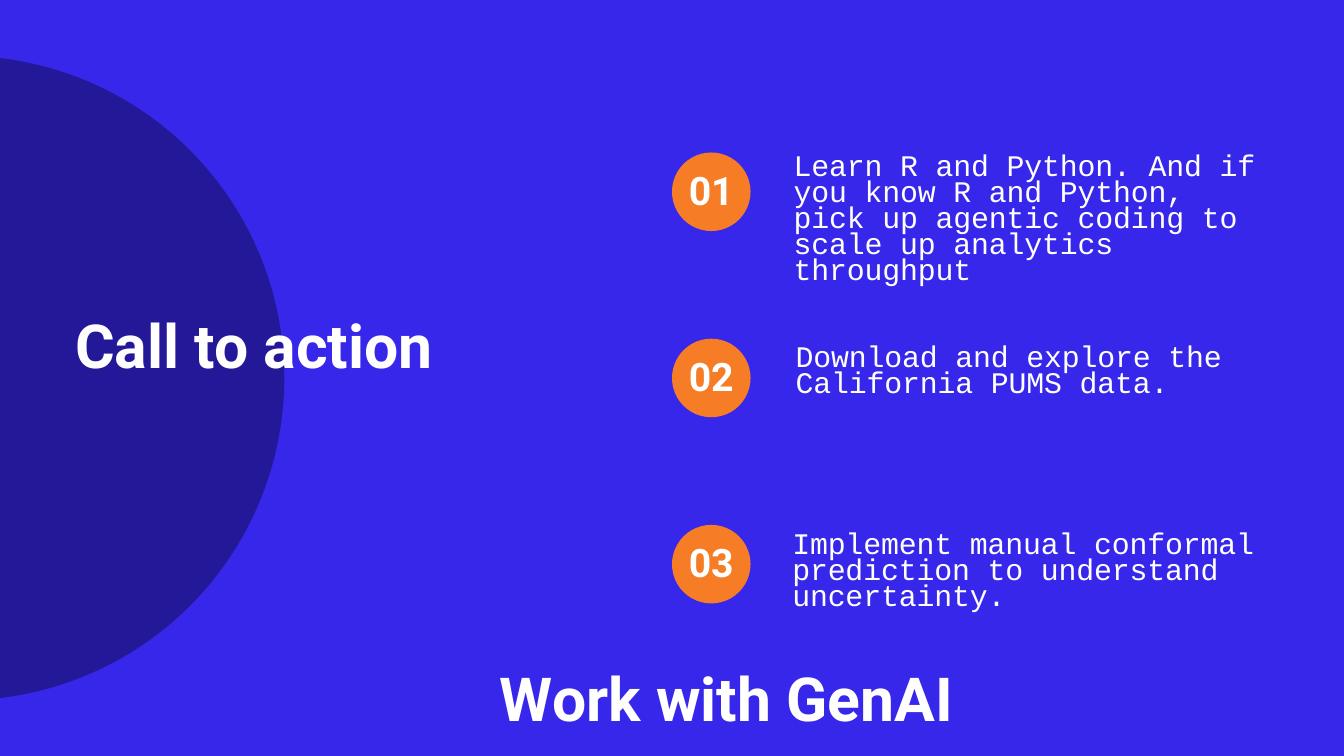
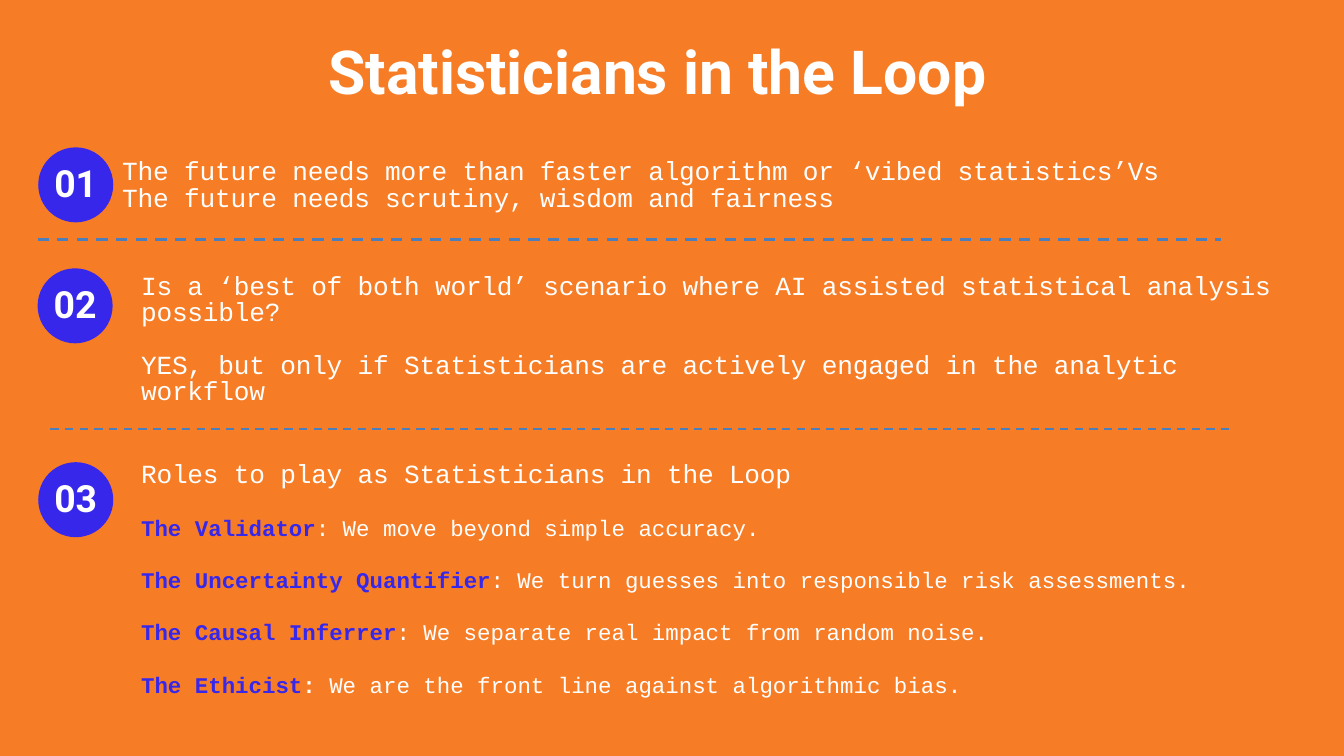
from dataclasses import dataclass

from lxml.etree import SubElement
from pptx import Presentation
from pptx.dml.color import RGBColor
from pptx.enum.dml import MSO_LINE_DASH_STYLE as Dash
from pptx.enum.shapes import MSO_CONNECTOR as Connector, MSO_SHAPE as Shape
from pptx.enum.text import MSO_ANCHOR as Anchor, PP_ALIGN as Align
from pptx.oxml.ns import qn
from pptx.shapes.autoshape import Shape as AutoShape
from pptx.slide import Slide
from pptx.text.text import TextFrame
from pptx.util import Pt

BLUE = RGBColor(0x37, 0x27, 0xEB)
ORANGE = RGBColor(0xF6, 0x7D, 0x26)
WHITE = RGBColor(0xFF, 0xFF, 0xFF)
BLACK = RGBColor(0x00, 0x00, 0x00)
STEEL = RGBColor(0x4B, 0x7E, 0xBC)

HEADING_FONT = "Roboto"
BODY_FONT = "Courier New"
TITLE_SIZE = 65
HEADING_LEADING = 1.1
BODY_LEADING = 28
BODY_TRACKING = -0.2


@dataclass(frozen=True)
class Area:
    left: float
    top: float
    width: float
    height: float


@dataclass(frozen=True)
class Span:
    text: str
    size: float
    font: str = BODY_FONT
    color: RGBColor = WHITE
    bold: bool = False
    tracking: float = 0


@dataclass(frozen=True)
class Paragraph:
    spans: list[Span]
    leading: float = BODY_LEADING
    space_before: float = 0
    align: Align = Align.LEFT


@dataclass(frozen=True)
class Title:
    text: str
    area: Area
    align: Align = Align.LEFT


@dataclass(frozen=True)
class BadgeStyle:
    diameter: float
    text_size: float
    fill: RGBColor


@dataclass(frozen=True)
class Item:
    badge_left: float
    badge_top: float
    area: Area
    paragraphs: list[Paragraph]


@dataclass(frozen=True)
class Divider:
    left: float
    right: float
    top: float
    weight: float


def heading(text: str, size: float, align: Align) -> Paragraph:
    span = Span(text, size, HEADING_FONT, bold=True)
    return Paragraph([span], size * HEADING_LEADING, align=align)


def body(text: str, size: float, space_before: float = 0) -> Paragraph:
    span = Span(text, size, tracking=BODY_TRACKING)
    return Paragraph([span], space_before=space_before)


def role(name: str, duty: str, bold_colon: bool = False) -> Paragraph:
    spans = [
        Span(name, 24, color=BLUE, bold=True),
        Span(": ", 24, bold=bold_colon),
        Span(duty, 24),
    ]
    return Paragraph(spans, space_before=BODY_LEADING)


def write(frame: TextFrame, paragraphs: list[Paragraph]) -> None:
    frame.margin_left = frame.margin_right = Pt(0)
    frame.margin_top = frame.margin_bottom = Pt(0)
    for index, paragraph in enumerate(paragraphs):
        para = frame.add_paragraph() if index else frame.paragraphs[0]
        para.alignment = paragraph.align
        para.line_spacing = Pt(paragraph.leading)
        para.space_before = Pt(paragraph.space_before)
        for span in paragraph.spans:
            run = para.add_run()
            run.text = span.text
            run.font.name = span.font
            run.font.size = Pt(span.size)
            run.font.bold = span.bold
            run.font.color.rgb = span.color
            if span.tracking:
                run.font._element.set("spc", str(round(span.tracking * 100)))


def add_text(page: Slide, area: Area, paragraphs: list[Paragraph]) -> None:
    box = page.shapes.add_textbox(
        Pt(area.left), Pt(area.top), Pt(area.width), Pt(area.height)
    )
    box.text_frame.word_wrap = True
    write(box.text_frame, paragraphs)


def add_title(page: Slide, title: Title) -> None:
    add_text(page, title.area, [heading(title.text, TITLE_SIZE, title.align)])


def add_circle(
    page: Slide, left: float, top: float, diameter: float, color: RGBColor
) -> AutoShape:
    circle = page.shapes.add_shape(
        Shape.OVAL, Pt(left), Pt(top), Pt(diameter), Pt(diameter)
    )
    circle.shadow.inherit = False
    circle.fill.solid()
    circle.fill.fore_color.rgb = color
    circle.line.fill.background()
    return circle


def add_items(page: Slide, items: list[Item], style: BadgeStyle) -> None:
    for number, item in enumerate(items, start=1):
        badge = add_circle(
            page, item.badge_left, item.badge_top, style.diameter, style.fill
        )
        frame = badge.text_frame
        frame.word_wrap = False
        frame.vertical_anchor = Anchor.MIDDLE
        write(frame, [heading(f"{number:02}", style.text_size, Align.CENTER)])
        add_text(page, item.area, item.paragraphs)


def add_divider(page: Slide, divider: Divider) -> None:
    line = page.shapes.add_connector(
        Connector.STRAIGHT,
        Pt(divider.left),
        Pt(divider.top),
        Pt(divider.right),
        Pt(divider.top),
    )
    line.line.color.rgb = STEEL
    line.line.width = Pt(divider.weight)
    line.line.dash_style = Dash.DASH
    SubElement(line._element.spPr, qn("a:effectLst"))


def add_page(deck: Presentation, color: RGBColor) -> Slide:
    page = deck.slides.add_slide(deck.slide_layouts[6])
    page.background.fill.solid()
    page.background.fill.fore_color.rgb = color
    return page


def build_call_to_action(deck: Presentation) -> None:
    page = add_page(deck, BLUE)
    backdrop = add_circle(page, -385.9, 59.8, 690.5, BLACK)
    color = backdrop.fill._xPr.find(f".//{qn('a:srgbClr')}")
    SubElement(color, qn("a:alpha"), val="35000")

    add_title(page, Title("Call to action", Area(80.6, 336.2, 537, 72)))
    add_title(page, Title("Work with GenAI", Area(535.7, 714.2, 537, 72)))

    actions = [
        (
            Area(850.3, 167, 509, 142.6),
            "Learn R and Python. And if you know R and Python, "
            "pick up agentic coding to scale up analytics throughput",
        ),
        (
            Area(852.5, 372.2, 509, 57.6),
            "Download and explore the California PUMS data.",
        ),
        (
            Area(848.9, 572.4, 509, 86.4),
            "Implement manual conformal prediction to understand uncertainty.",
        ),
    ]
    items = [
        Item(720, 163.4 + row * 199.5, area, [body(text, 32)])
        for row, (area, text) in enumerate(actions)
    ]
    add_items(page, items, BadgeStyle(84.2, 42, ORANGE))


def build_statisticians(deck: Presentation) -> None:
    page = add_page(deck, ORANGE)
    title_area = Area(166.3, 42.5, 1077, 72.7)
    add_title(page, Title("Statisticians in the Loop", title_area, Align.CENTER))

    future = [
        body("The future needs more than faster algorithm or ‘vibed statistics’Vs", 28),
        body("The future needs scrutiny, wisdom and fairness", 28),
    ]
    scenario = [
        body(
            "Is a ‘best of both world’ scenario where AI assisted "
            "statistical analysis possible?",
            28,
        ),
        body(
            "YES, but only if Statisticians are actively engaged "
            "in the analytic workflow",
            28,
            BODY_LEADING,
        ),
    ]
    roles = [
        body("Roles to play as Statisticians in the Loop", 28),
        role("The Validator", "We move beyond simple accuracy."),
        role(
            "The Uncertainty Quantifier",
            "We turn guesses into responsible risk assessments.",
        ),
        role("The Causal Inferrer", "We separate real impact from random noise."),
        role(
            "The Ethicist",
            "We are the front line against algorithmic bias.",
            bold_colon=True,
        ),
    ]
    items = [
        Item(41, 157.9, Area(131, 171.4, 1209.6, 85), future),
        Item(40.3, 287.5, Area(151.2, 294.5, 1236.2, 141), scenario),
        Item(41, 495.2, Area(151.2, 495.4, 1209.6, 254.2), roles),
    ]
    add_items(page, items, BadgeStyle(80.4, 40.1, BLUE))

    add_divider(page, Divider(40.3, 1308.2, 256.3, 3))
    add_divider(page, Divider(54, 1321.2, 459.4, 2.25))


def main() -> None:
    deck = Presentation()
    deck.slide_width = Pt(1440)
    deck.slide_height = Pt(810)
    build_call_to_action(deck)
    build_statisticians(deck)
    deck.save("out.pptx")


if __name__ == "__main__":
    main()
